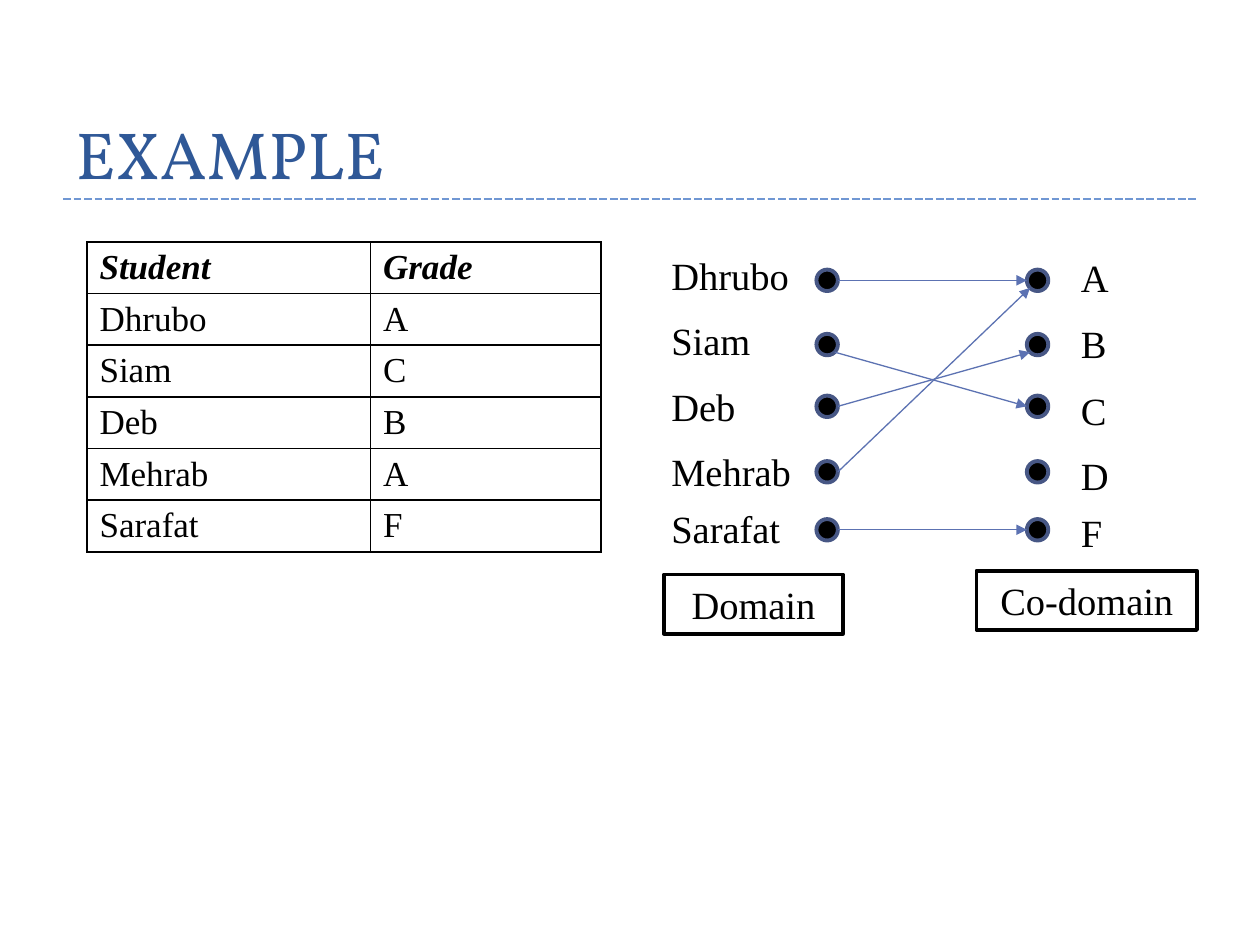
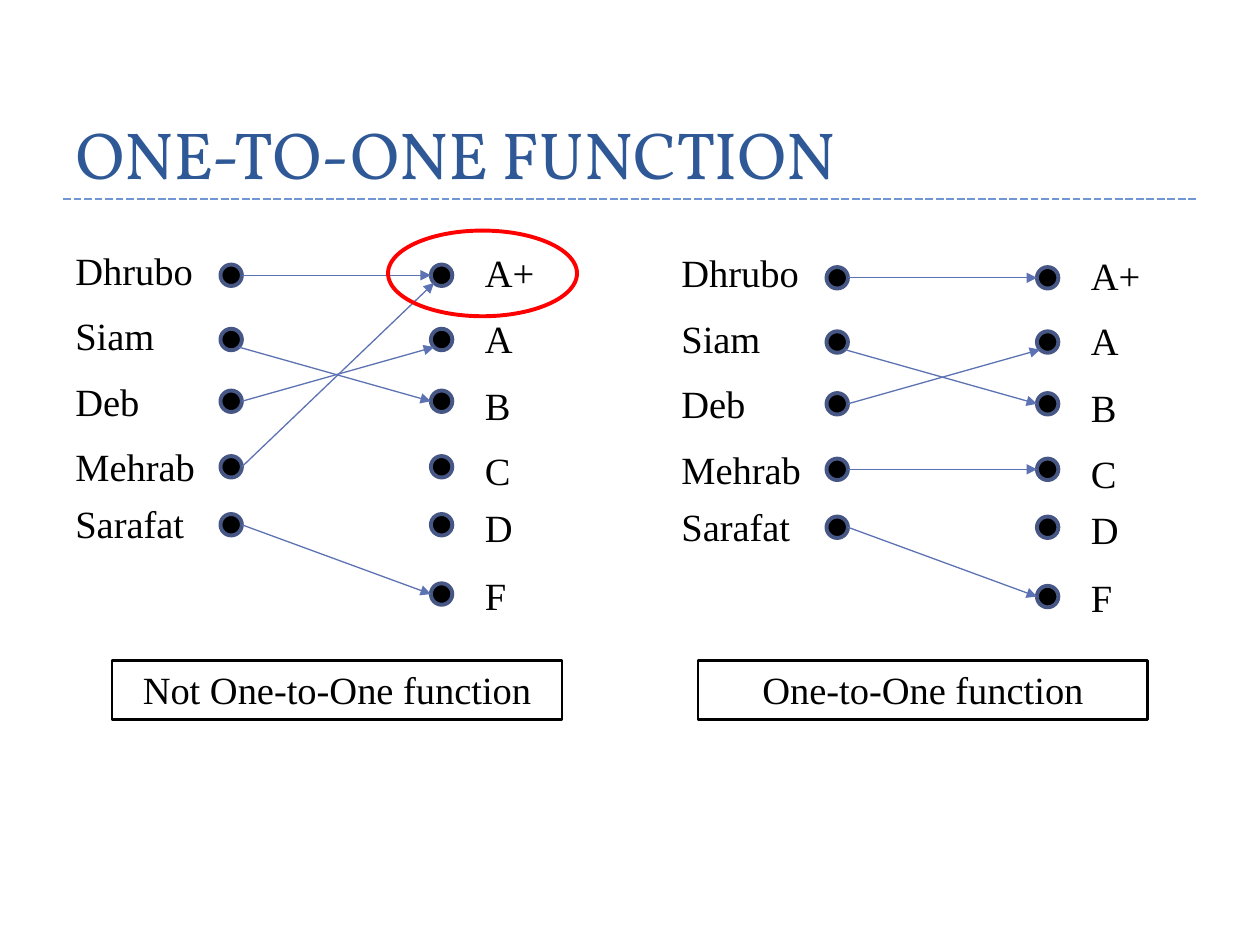
from dataclasses import dataclass
from math import sqrt

from pptx import Presentation
from pptx.dml.color import RGBColor
from pptx.enum.dml import MSO_LINE
from pptx.enum.shapes import MSO_CONNECTOR, MSO_SHAPE
from pptx.enum.text import MSO_ANCHOR, MSO_AUTO_SIZE, PP_ALIGN
from pptx.oxml.ns import qn
from pptx.shapes.connector import Connector
from pptx.slide import Slide
from pptx.table import _Cell
from pptx.text.text import TextFrame
from pptx.util import Emu, Pt
from lxml.etree import SubElement

SCALE = 9144
HEX = {
    "title": "2F5897",
    "rule": "7097D3",
    "text": "000000",
    "dot": "000000",
    "ring": "475785",
    "arrow": "5C72B2",
    "mark": "FF0000",
}
SERIF = "Times New Roman"
HEAD = "Vollkorn"

DOT = 17
NAME_X, LEFT_X, RIGHT_X, GRADE_X = 0, 125, 292, 325
DOT_Y = (0, 51, 100, 152, 198, 253)
NAME_Y = (-19, 33, 85, 137, 182)
GRADE_Y = (-17, 35, 88, 140, 185, 239)
NAME_W = (115, 115, 115, 142, 142)
TEXT_H = 47

NAMES = ("Dhrubo", "Siam", "Deb", "Mehrab", "Sarafat")
GRADES = ("A", "C", "B", "A", "F")
MARKS = ("A+", "A", "B", "C", "D", "F")
MARK_W = (69, 58, 58, 58, 58, 58)


@dataclass(frozen=True)
class Link:
    start: int
    end: int
    low: bool = False


@dataclass(frozen=True)
class Map:
    left: int
    top: int
    grades: tuple[str, ...]
    widths: tuple[int, ...]
    links: tuple[Link, ...]


@dataclass(frozen=True)
class Box:
    text: str
    left: int
    top: int
    width: int
    line: float = 0
    align: PP_ALIGN = PP_ALIGN.CENTER


CROSS = (Link(0, 0), Link(1, 2, True), Link(2, 1))
GRADE_MAP = Map(523, 214, ("A", "B", "C", "D", "F"), NAME_W,
                CROSS + (Link(3, 0), Link(4, 4)))
MANY_MAP = Map(50, 210, MARKS, MARK_W, CROSS + (Link(3, 0), Link(4, 5)))
ONE_MAP = Map(531, 212, MARKS, MARK_W, CROSS + (Link(3, 3), Link(4, 5)))


def px(value: float) -> Emu:
    return Emu(round(value * SCALE))


def tint(key: str) -> RGBColor:
    return RGBColor.from_string(HEX[key])


def style(frame: TextFrame, size: int, key: str = "text", face: str = SERIF,
          strong: bool = False) -> None:
    for para in frame.paragraphs:
        for run in para.runs:
            font = run.font
            font.name, font.size = face, Pt(size)
            font.bold = font.italic = strong
            font.color.rgb = tint(key)


def draw_line(slide: Slide, ends: tuple[float, ...], key: str,
              width: float) -> Connector:
    line = slide.shapes.add_connector(MSO_CONNECTOR.STRAIGHT, *map(px, ends))
    line.line.color.rgb = tint(key)
    line.line.width = Pt(width)
    SubElement(line._element.spPr, qn("a:effectLst"))
    return line


def draw_arrow(slide: Slide, ends: tuple[float, ...]) -> None:
    line = draw_line(slide, ends, "arrow", 0.75)
    SubElement(line.line._get_or_add_ln(), qn("a:tailEnd"), type="triangle")


def draw_oval(slide: Slide, area: tuple[int, ...], ring: str,
              fill: str = "") -> None:
    oval = slide.shapes.add_shape(MSO_SHAPE.OVAL, *map(px, area))
    oval.shadow.inherit = False
    if fill:
        oval.fill.solid()
        oval.fill.fore_color.rgb = tint(fill)
    else:
        oval.fill.background()
    oval.line.color.rgb = tint(ring)
    oval.line.width = Pt(2.25)


def draw_box(slide: Slide, box: Box) -> None:
    area = (box.left, box.top, box.width, TEXT_H)
    shape = slide.shapes.add_textbox(*map(px, area))
    frame = shape.text_frame
    frame.word_wrap = True
    frame.auto_size = MSO_AUTO_SIZE.NONE
    frame.text = box.text
    frame.paragraphs[0].alignment = box.align
    style(frame, 22)
    if box.line:
        shape.line.color.rgb = tint("text")
        shape.line.width = Pt(box.line)


def draw_texts(slide: Slide, left: int, top: int, words: tuple[str, ...],
               steps: tuple[int, ...], widths: tuple[int, ...]) -> None:
    for word, step, width in zip(words, steps, widths):
        draw_box(slide, Box(word, left, top + step, width,
                            align=PP_ALIGN.JUSTIFY))


def draw_map(slide: Slide, item: Map) -> None:
    left, top = item.left, item.top
    for side, count in ((LEFT_X, len(NAMES)), (RIGHT_X, len(item.grades))):
        for step in DOT_Y[:count]:
            draw_oval(slide, (left + side, top + step, DOT, DOT), "ring", "dot")
    draw_texts(slide, left + NAME_X, top, NAMES, NAME_Y, NAME_W)
    draw_texts(slide, left + GRADE_X, top, item.grades, GRADE_Y, item.widths)

    half = DOT / 2
    slant = half / sqrt(2)
    for link in item.links:
        out, drop = (slant, slant) if link.low else (half, 0)
        back, rise = (slant, slant) if link.end < link.start else (half, 0)
        draw_arrow(slide, (
            left + LEFT_X + half + out, top + DOT_Y[link.start] + half + drop,
            left + RIGHT_X + half - back, top + DOT_Y[link.end] + half + rise,
        ))


def edge_cell(cell: _Cell) -> None:
    props = cell._tc.get_or_add_tcPr()
    for side in ("lnL", "lnR", "lnT", "lnB"):
        line = SubElement(props, qn(f"a:{side}"), w=str(Pt(1)))
        fill = SubElement(line, qn("a:solidFill"))
        SubElement(fill, qn("a:srgbClr"), val=HEX["text"])
    cell.fill.background()


def draw_table(slide: Slide) -> None:
    rows = (("Student", "Grade"), *zip(NAMES, GRADES))
    widths = (225, 183)
    area = (69, 192, sum(widths), 41 * len(rows))
    table = slide.shapes.add_table(len(rows), 2, *map(px, area)).table
    table.first_row = table.horz_banding = False
    for col, width in zip(table.columns, widths):
        col.width = px(width)
    for r, row in enumerate(rows):
        for c, word in enumerate(row):
            cell = table.cell(r, c)
            cell.text_frame.text = word
            style(cell.text_frame, 20, strong=r == 0)
            edge_cell(cell)


def add_page(deck: Presentation, title: str) -> Slide:
    slide = deck.slides.add_slide(deck.slide_layouts[5])
    rule = draw_line(slide, (50, 158, 950, 158), "rule", 1.5)
    rule.line.dash_style = MSO_LINE.SQUARE_DOT
    head = slide.shapes.title
    head.left, head.top, head.width, head.height = map(px, (50, -17, 900, 175))
    frame = head.text_frame
    frame.text = title
    frame.word_wrap = True
    frame.auto_size = MSO_AUTO_SIZE.NONE
    frame.vertical_anchor = MSO_ANCHOR.BOTTOM
    para = frame.paragraphs[0]
    para.alignment = PP_ALIGN.LEFT
    para.line_spacing = Pt(58)
    style(frame, 38, "title", HEAD)
    return slide


def main() -> None:
    deck = Presentation()
    deck.slide_width, deck.slide_height = px(1000), px(750)

    page = add_page(deck, "EXAMPLE")
    draw_table(page)
    draw_map(page, GRADE_MAP)
    draw_box(page, Box("Domain", 527, 456, 142, 2.25))
    draw_box(page, Box("Co-domain", 775, 453, 175, 2.25))

    page = add_page(deck, "ONE-TO-ONE FUNCTION")
    draw_map(page, MANY_MAP)
    draw_map(page, ONE_MAP)
    draw_box(page, Box("Not One-to-One function", 89, 524, 357, 1.5))
    draw_box(page, Box("One-to-One function", 554, 524, 357, 1.5))
    draw_oval(page, (308, 183, 150, 68), "mark")

    deck.save("out.pptx")


if __name__ == "__main__":
    main()
